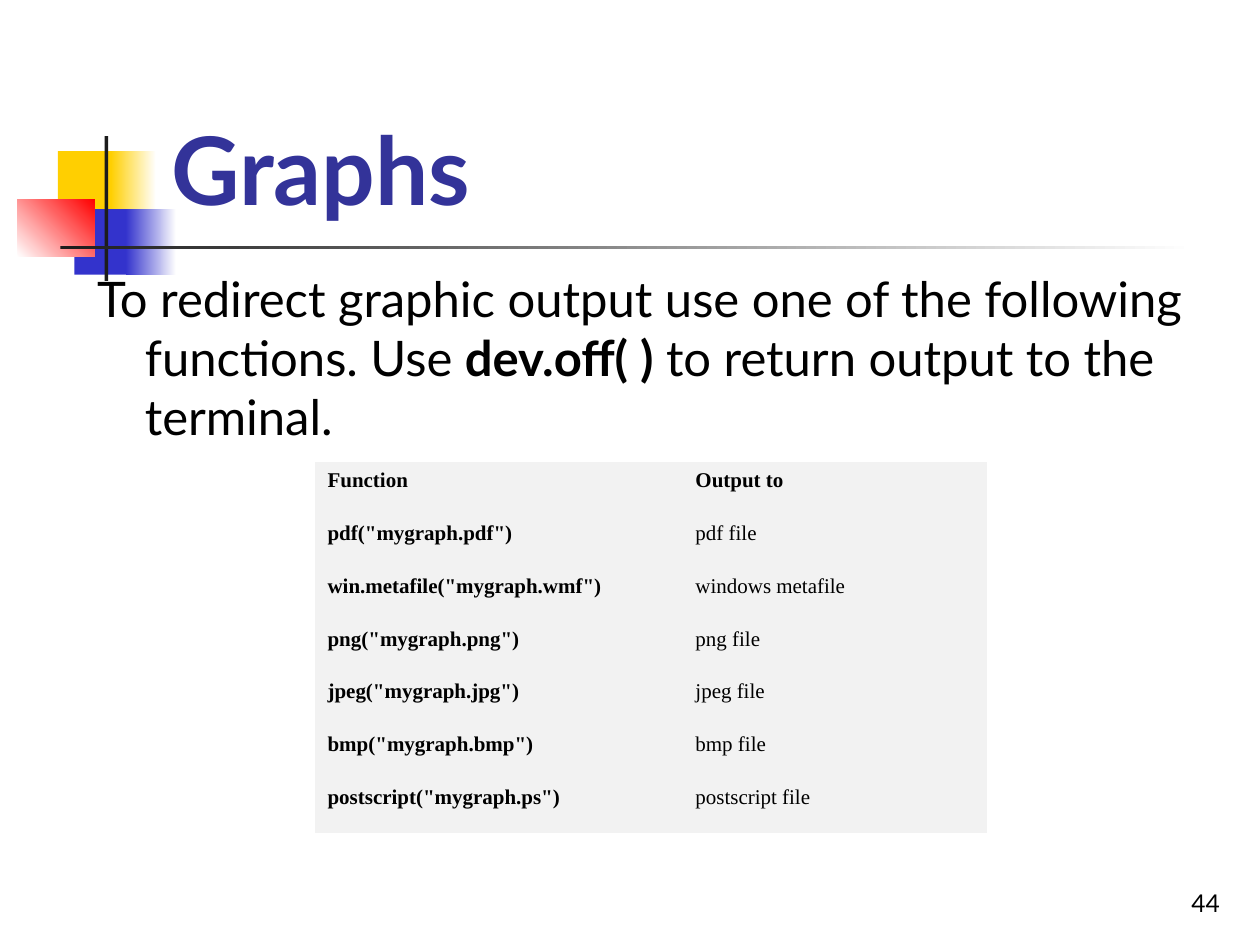
from dataclasses import dataclass

from pptx import Presentation
from pptx import util as u
from pptx.dml.color import RGBColor
from pptx.enum import shapes, text
from pptx.oxml import ns


@dataclass(frozen=True)
class Theme:
    white: str = "FFFFFF"
    black: str = "000000"
    title: str = "333399"
    yellow: str = "FFCF01"
    blue: str = "3333CC"
    red: str = "FF0000"
    ink: str = "1C1C1C"
    cell: str = "F2F2F2"
    font: str = "Lato"
    table_font: str = "Times New Roman"
    title_size: int = 54
    body_size: int = 28
    table_size: int = 12
    number_size: int = 14


T = Theme()
NO_STYLE = "{2D5ABB26-0587-4C30-8999-92F81FD0307C}"

OUTPUTS = [
    ("Function", "Output to"),
    ('pdf("mygraph.pdf")', "pdf file"),
    ('win.metafile("mygraph.wmf")', "windows metafile"),
    ('png("mygraph.png")', "png file"),
    ('jpeg("mygraph.jpg")', "jpeg file"),
    ('bmp("mygraph.bmp")', "bmp file"),
    ('postscript("mygraph.ps")', "postscript file"),
]


def inches(*values):
    return [u.Inches(v) for v in values]


def place(sp, box):
    sp.left, sp.top, sp.width, sp.height = inches(*box)


def add_run(p, words, size, color=T.black, bold=False, font=T.font):
    r = p.add_run()
    r.text = words
    r.font.size = u.Pt(size)
    r.font.name = font
    r.font.bold = bold
    r.font.color.rgb = RGBColor.from_string(color)


def add_block(s, box, start, end=None, angle=0):
    sp = s.shapes.add_shape(shapes.MSO_SHAPE.RECTANGLE, *inches(*box))
    sp.shadow.inherit = False
    sp.line.fill.background()
    if end is None:
        sp.fill.solid()
        sp.fill.fore_color.rgb = RGBColor.from_string(start)
    else:
        sp.fill.gradient()
        sp.fill.gradient_angle = angle
        for stop, color in zip(sp.fill.gradient_stops, (start, end)):
            stop.color.rgb = RGBColor.from_string(color)
    return sp


def add_ornament(s, box):
    x, y, w, h = box
    blocks = [
        ((x + 0.32, y + 0.12, 0.48, 0.52), T.yellow),
        ((x + 0.74, y + 0.12, 0.36, 0.52), T.yellow, T.white),
        ((x + 0.45, y + 0.58, 0.46, 0.52), T.blue),
        ((x + 0.86, y + 0.58, 0.4, 0.52), T.blue, T.white),
        ((x, y + 0.5, 0.61, 0.46), T.white, T.red, 45),
        ((x + 0.69, y, 0.03, h), T.ink),
        ((x + 0.34, y + 0.87, w - 0.34, 0.03), T.ink, T.white),
    ]
    tree = s.shapes._spTree
    for i, block in enumerate(blocks):
        tree.insert(2 + i, add_block(s, *block)._element)


def add_title(s, box):
    sp = s.shapes.title
    place(sp, box)
    tf = sp.text_frame
    tf.auto_size = text.MSO_AUTO_SIZE.NONE
    tf.vertical_anchor = text.MSO_ANCHOR.BOTTOM
    p = tf.paragraphs[0]
    p.alignment = text.PP_ALIGN.LEFT
    add_run(p, "Graphs", T.title_size, T.title, True)


def add_body(s, box):
    sp = s.placeholders[1]
    place(sp, box)
    tf = sp.text_frame
    tf.auto_size = text.MSO_AUTO_SIZE.NONE
    p = tf.paragraphs[0]
    p.level = 1
    p.space_before = u.Pt(7)
    pPr = p._p.get_or_add_pPr()
    pPr.set("marL", str(u.Inches(0.88)))
    pPr.set("indent", str(u.Inches(-0.38)))
    pPr.append(pPr.makeelement(ns.qn("a:buNone"), {}))
    add_run(p, "To redirect graphic output use one of the following functions. Use ", T.body_size)
    add_run(p, "dev.off( )", T.body_size, bold=True)
    add_run(p, " to return output to the terminal.", T.body_size)


def add_outputs(s, box):
    frame = s.shapes.add_table(len(OUTPUTS), 2, *inches(*box))
    table = frame.table
    table.horz_banding = False
    table._tbl.tblPr.find(ns.qn("a:tableStyleId")).text = NO_STYLE
    table.columns[0].width = u.Inches(2.92)
    table.columns[1].width = u.Inches(box[2] - 2.92)
    for i, row in enumerate(OUTPUTS):
        for j, words in enumerate(row):
            cell = table.cell(i, j)
            cell.fill.solid()
            cell.fill.fore_color.rgb = RGBColor.from_string(T.cell)
            add_run(cell.text_frame.paragraphs[0], words, T.table_size,
                    bold=i == 0 or j == 0, font=T.table_font)


def add_number(s, box):
    tf = s.shapes.add_textbox(*inches(*box)).text_frame
    tf.word_wrap = True
    tf.vertical_anchor = text.MSO_ANCHOR.BOTTOM
    p = tf.paragraphs[0]
    p.alignment = text.PP_ALIGN.RIGHT
    add_run(p, "44", T.number_size)


def main():
    prs = Presentation()
    prs.slide_width, prs.slide_height = inches(10, 7.5)
    s = prs.slides.add_slide(prs.slide_layouts[1])
    add_ornament(s, (0.14, 1.08, 9.34, 1.15))
    add_title(s, (1.26, 0.23, 8.52, 1.6))
    add_body(s, (0.17, 2.08, 9.92, 4.25))
    add_outputs(s, (2.5, 3.67, 5.33, 2.94))
    add_number(s, (7.7, 6.83, 2.08, 0.5))
    prs.save("out.pptx")


if __name__ == "__main__":
    main()
